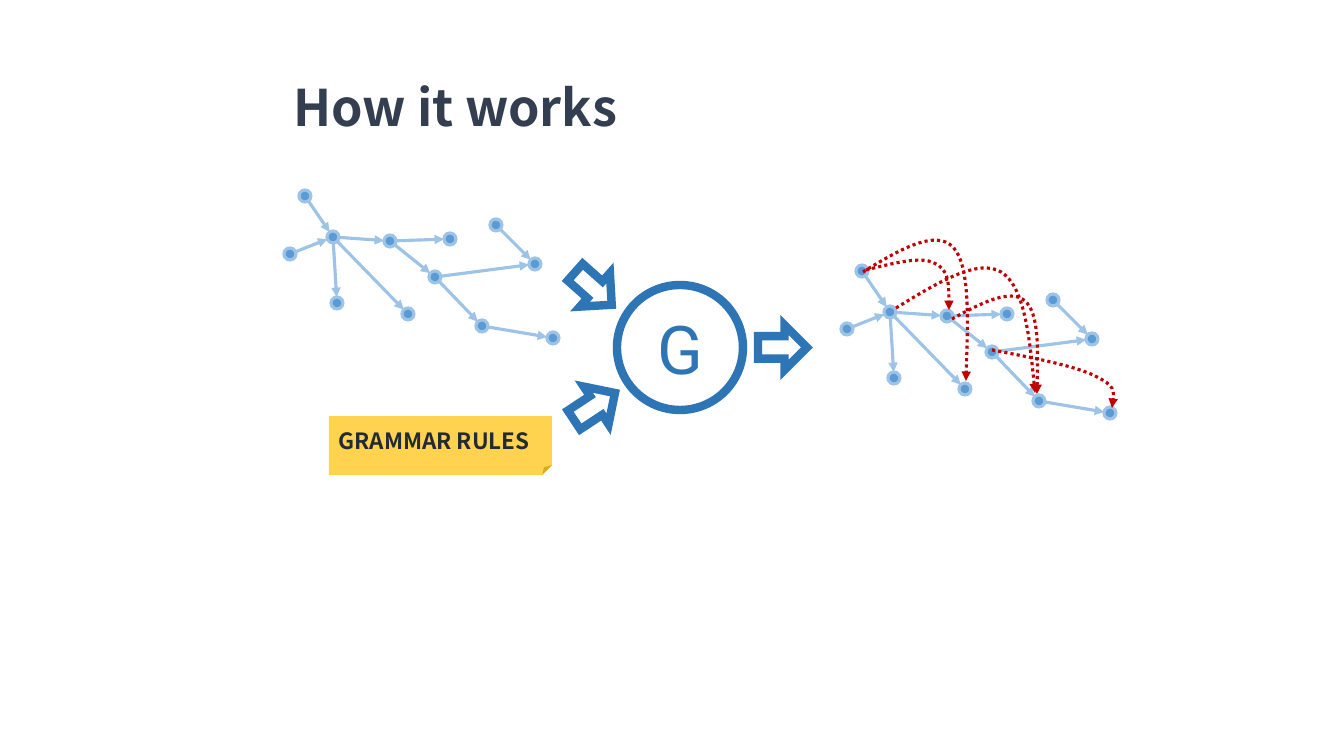
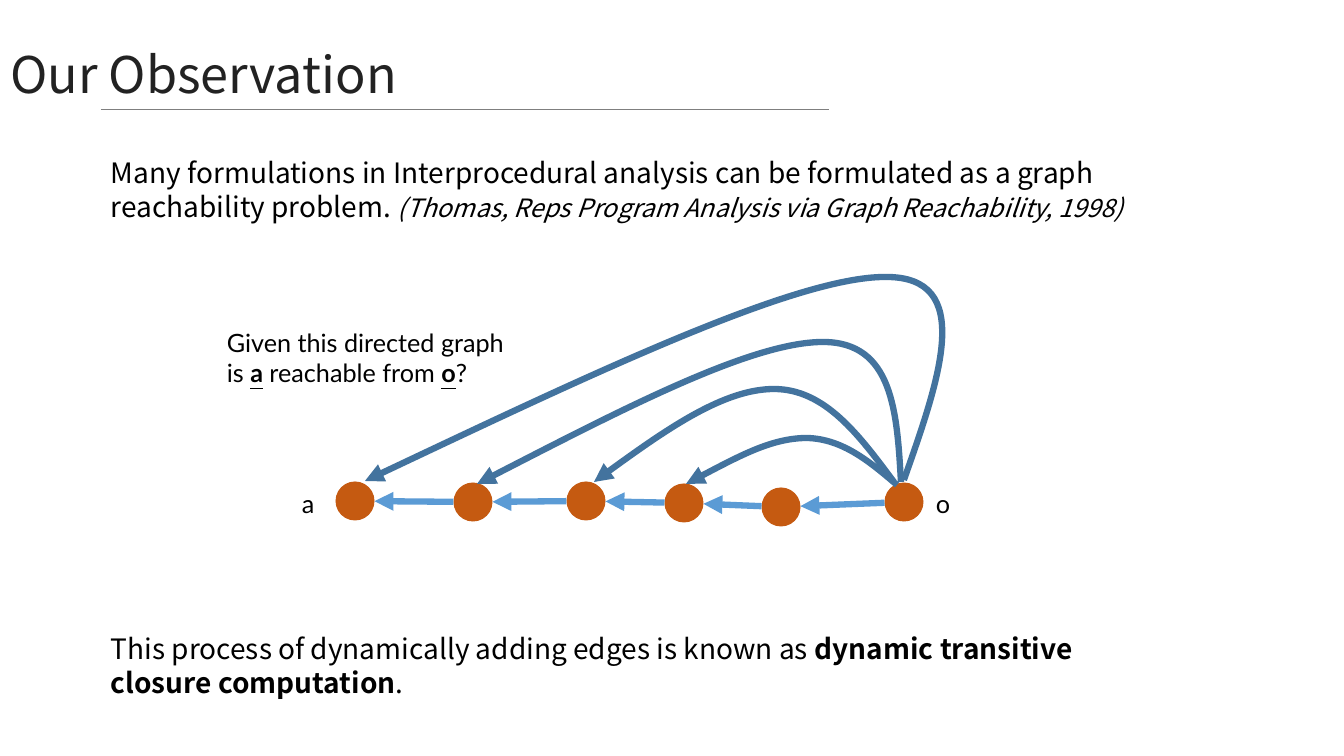
from dataclasses import dataclass
from math import hypot

from lxml import etree
from pptx import Presentation
from pptx import util as u
from pptx.dml.color import RGBColor
from pptx.enum import dml, shapes, text
from pptx.oxml.ns import qn

PX = 914400 / 100.8  # EMU in one px
SHAPE = shapes.MSO_SHAPE


@dataclass(frozen=True)
class Theme:
    sans: str = "Noto Sans CJK TC"
    label: str = "Lato"
    symbol: str = "Roboto"
    ink: str = "000000"
    heading: str = "222222"
    navy: str = "333F50"
    dark: str = "222A35"
    white: str = "FFFFFF"
    rule: str = "7F7F7F"
    blue: str = "5B9BD5"
    pale_blue: str = "9DC3E6"
    strong_blue: str = "2E75B6"
    steel: str = "43739E"
    red: str = "C00000"
    yellow: str = "FFC000"
    orange: str = "C55A11"
    title_size: int = 36
    symbol_size: int = 48
    body_size: int = 20
    small_size: int = 18
    note_size: int = 16
    hairline: float = 0.5
    thin: float = 2.25
    medium: float = 4.5
    thick: float = 6


THEME = Theme()

# Content: a box is left, top, width, height; a curve is a start and Bezier triples
WORKS_TITLE = ("How it works", (283, 71, 791, 72), THEME.navy, True)
GRAPH_NODES = {
    "A": (305, 196), "B": (333, 237), "C": (290, 254), "D": (390, 241),
    "E": (450, 239), "F": (435, 277), "G": (337, 303), "H": (408, 314),
    "I": (496, 225), "J": (535, 264), "K": (482, 326), "L": (553, 338),
}
GRAPH_EDGES = ["AB", "BH", "BD", "DF", "DE", "CB", "FK", "FJ", "IJ", "BG", "KL"]
GRAPH_NODE_SIZE = 12
RESULT_SHIFT = (557, 75)
DERIVED_EDGES = [
    [(866, 270), (894, 263), (921, 256), (934, 263),
     (949, 269), (949, 289), (949, 310)],
    [(952, 319), (981, 303), (1011, 288), (1025, 301),
     (1039, 313), (1038, 354), (1037, 394)],
    [(863, 272), (899, 250), (935, 229), (953, 247),
     (970, 265), (968, 323), (966, 381)],
    [(992, 350), (1034, 358), (1075, 366), (1095, 376),
     (1116, 386), (1114, 397), (1112, 408)],
    [(896, 308), (937, 283), (978, 258), (1001, 272),
     (1024, 286), (1030, 340), (1035, 393)],
]
NOTE = ("GRAMMAR RULES", (329, 416, 223, 59))
ENGINE = ("G", (617, 285, 126, 125))
FLOW_ARROW_SIZE = (49, 45)
FLOW_ARROWS = [((570, 384), -33.4), ((758, 325), 0), ((569, 266), 41.7)]

OBSERVATION_TITLE = ("Our Observation", (0, 38, 678, 72), THEME.heading, False)
TITLE_RULE = ((101, 109), (829, 109))
ITALIC_SMALL = {"italic": True, "size": THEME.small_size}
BOLD = {"bold": True}
KEY = {"bold": True, "underline": True}
STATEMENTS = [
    ((101, 151, 1079, 78), [[
        ("Many formulations in Interprocedural analysis can be formulated as a "
         "graph reachability problem. ", {}),
        ("(Thomas, Reps Program Analysis via Graph Reachability, 1998)", ITALIC_SMALL),
    ]]),
    ((101, 627, 1079, 78), [
        [("This process of dynamically adding edges is known as ", {}),
         ("dynamic transitive", BOLD)],
        [("closure computation", BOLD), (".", {})],
    ]),
]
LABELS = [
    ((217, 322, 349, 72), [
        [("Given this directed graph", {})],
        [("is ", {}), ("a", KEY), (" reachable from ", {}), ("o", KEY), ("?", {})],
    ]),
    ((292, 483, 35, 40), [[("a", {})]]),
    ((926, 483, 35, 40), [[("o", {})]]),
]
CHAIN_NODES = [(904, 502), (781, 507), (684, 503), (586, 501), (473, 502), (355, 501)]
CHAIN_NODE_SIZE = 39
CLOSURE_EDGES = [
    [(897, 485), (870, 462), (843, 439), (807, 438),
     (772, 438), (730, 461), (686, 484)],
    [(894, 482), (859, 435), (825, 389), (774, 389),
     (724, 389), (658, 435), (594, 482)],
    [(901, 482), (897, 412), (893, 342), (823, 342),
     (752, 342), (615, 413), (477, 484)],
    [(904, 480), (940, 378), (976, 276), (885, 277),
     (795, 277), (581, 379), (365, 481)],
]


# Shared helpers
def emu(*lengths):
    return [round(length * PX) for length in lengths]


def rgb(color):
    return RGBColor.from_string(color)


def style_line(line, color, width, arrow=False, dotted=False):
    line.color.rgb = rgb(color)
    line.width = u.Pt(width)
    if dotted:
        line.dash_style = dml.MSO_LINE.ROUND_DOT
    outline = line._get_or_add_ln()
    etree.SubElement(outline, qn("a:miter"), lim="800000")
    if arrow:
        etree.SubElement(outline, qn("a:tailEnd"), type="triangle")


def write(frame, paragraphs, font, size, color, align=text.PP_ALIGN.LEFT):
    """Fill a frame from lists of (words, changes to the font)."""
    frame.word_wrap = True
    for index, spans in enumerate(paragraphs):
        para = frame.add_paragraph() if index else frame.paragraphs[0]
        para.alignment = align
        for words, changes in spans:
            span = para.add_run()
            span.text = words
            span.font.name = font
            span.font.color.rgb = rgb(color)
            span.font.size = u.Pt(changes.get("size", size))
            for name in ("bold", "italic", "underline"):
                if name in changes:
                    setattr(span.font, name, changes[name])


def add_title(slide, words, box, color, bold):
    title = slide.shapes.title
    title.left, title.top, title.width, title.height = emu(*box)
    frame = title.text_frame
    frame.vertical_anchor = text.MSO_ANCHOR.TOP
    frame.auto_size = text.MSO_AUTO_SIZE.NONE
    write(frame, [[(words, {"bold": bold})]], THEME.sans, THEME.title_size, color)


def add_text(slide, box, paragraphs, font, size):
    frame = slide.shapes.add_textbox(*emu(*box)).text_frame
    write(frame, paragraphs, font, size, THEME.ink)


def add_block(parent, kind, box, fill, line=None, width=0):
    block = parent.shapes.add_shape(kind, *emu(*box))
    block.shadow.inherit = False
    block.fill.solid()
    block.fill.fore_color.rgb = rgb(fill)
    if line:
        style_line(block.line, line, width)
    else:
        block.line.fill.background()
    return block


def add_node(parent, kind, center, size, fill, line=None, width=0):
    x, y = center
    add_block(parent, kind, (x - size / 2, y - size / 2, size, size), fill, line, width)


def add_line(parent, start, end, color, width, arrow=False):
    line = parent.shapes.add_connector(shapes.MSO_CONNECTOR.STRAIGHT, *emu(*start, *end))
    style_line(line.line, color, width, arrow)
    etree.SubElement(line.element.spPr, qn("a:effectLst"))


def add_edge(parent, start, end, radius, color, width):
    """Draw an arrow between the rims of two round nodes."""
    (x1, y1), (x2, y2) = start, end
    length = hypot(x2 - x1, y2 - y1)
    dx, dy = (x2 - x1) * radius / length, (y2 - y1) * radius / length
    add_line(parent, (x1 + dx, y1 + dy), (x2 - dx, y2 - dy), color, width, arrow=True)


def add_curve(parent, points, color, width, dotted=False):
    """Build the control polygon, then turn each three points into a Bezier."""
    builder = parent.shapes.build_freeform(*points[0], scale=PX)
    builder.add_line_segments(points[1:], close=False)
    curve = builder.convert_to_shape()
    curve.shadow.inherit = False
    curve.fill.background()
    style_line(curve.line, color, width, arrow=True, dotted=dotted)
    segments = list(curve.element.iter(qn("a:lnTo")))
    for first in range(0, len(segments), 3):
        triple = segments[first:first + 3]
        bezier = etree.SubElement(triple[0].getparent(), qn("a:cubicBezTo"))
        for segment in triple:
            segment.getparent().remove(segment)
            bezier.append(segment[0])


def add_graph(slide, shift=(0, 0), derived=()):
    group = slide.shapes.add_group_shape()
    nodes = {name: (x + shift[0], y + shift[1]) for name, (x, y) in GRAPH_NODES.items()}
    for center in nodes.values():
        add_node(group, SHAPE.FLOWCHART_CONNECTOR, center, GRAPH_NODE_SIZE,
                 THEME.blue, THEME.pale_blue, THEME.thin)
    for start, end in GRAPH_EDGES:
        add_edge(group, nodes[start], nodes[end], GRAPH_NODE_SIZE / 2,
                 THEME.pale_blue, THEME.thin)
    for points in derived:
        add_curve(group, points, THEME.red, THEME.thin, dotted=True)


# Slides
def build_works(slide):
    add_title(slide, *WORKS_TITLE)
    add_graph(slide, RESULT_SHIFT, DERIVED_EDGES)
    add_graph(slide)

    # Rules note, 69 % opaque
    words, box = NOTE
    note = add_block(slide, SHAPE.FOLDED_CORNER, box, THEME.yellow)
    tint = note.element.spPr.find(qn("a:solidFill"))[0]
    etree.SubElement(tint, qn("a:alpha"), val="69000")
    note.text_frame.vertical_anchor = text.MSO_ANCHOR.MIDDLE
    write(note.text_frame, [[(words, BOLD)]], THEME.sans, THEME.note_size, THEME.dark)

    # Engine and flow arrows
    words, box = ENGINE
    engine = add_block(slide, SHAPE.OVAL, box, THEME.white, THEME.strong_blue, THEME.thick)
    engine.text_frame.vertical_anchor = text.MSO_ANCHOR.MIDDLE
    write(engine.text_frame, [[(words, {})]], THEME.symbol, THEME.symbol_size,
          THEME.strong_blue, text.PP_ALIGN.CENTER)
    for corner, angle in FLOW_ARROWS:
        arrow = add_block(slide, SHAPE.RIGHT_ARROW, corner + FLOW_ARROW_SIZE,
                          THEME.white, THEME.strong_blue, THEME.thick)
        arrow.rotation = angle


def build_observation(slide):
    add_title(slide, *OBSERVATION_TITLE)
    add_line(slide, *TITLE_RULE, THEME.rule, THEME.hairline)
    for box, paragraphs in STATEMENTS:
        add_text(slide, box, paragraphs, THEME.sans, THEME.body_size)

    # Chain of nodes and the edges that close it
    for center in CHAIN_NODES:
        add_node(slide, SHAPE.OVAL, center, CHAIN_NODE_SIZE, THEME.orange)
    for start, end in zip(CHAIN_NODES, CHAIN_NODES[1:]):
        add_edge(slide, start, end, CHAIN_NODE_SIZE / 2, THEME.blue, THEME.medium)
    for points in CLOSURE_EDGES:
        add_curve(slide, points, THEME.steel, THEME.medium)
    for box, paragraphs in LABELS:
        add_text(slide, box, paragraphs, THEME.label, THEME.small_size)


def main():
    deck = Presentation()
    deck.slide_width, deck.slide_height = emu(1344, 756)
    title_only = deck.slide_layouts[5]
    for build in (build_works, build_observation):
        build(deck.slides.add_slide(title_only))
    deck.save("out.pptx")


if __name__ == "__main__":
    main()
